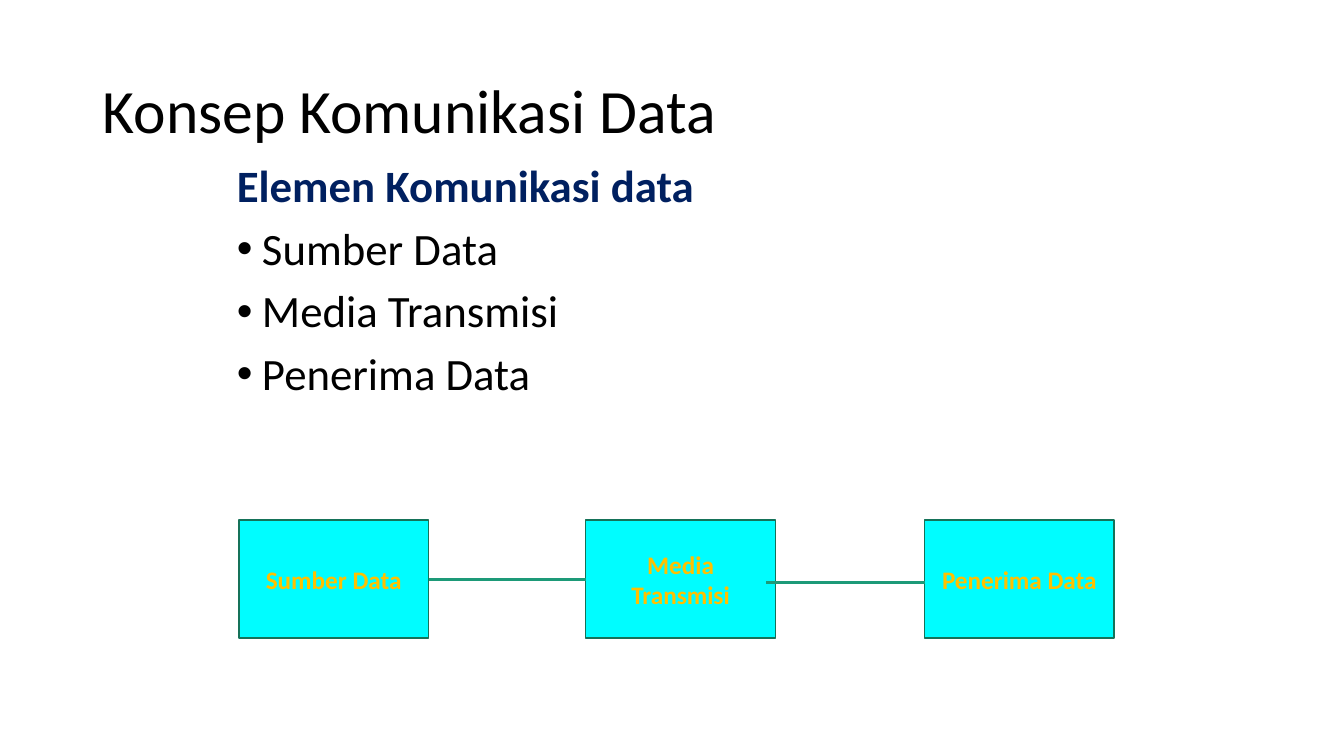
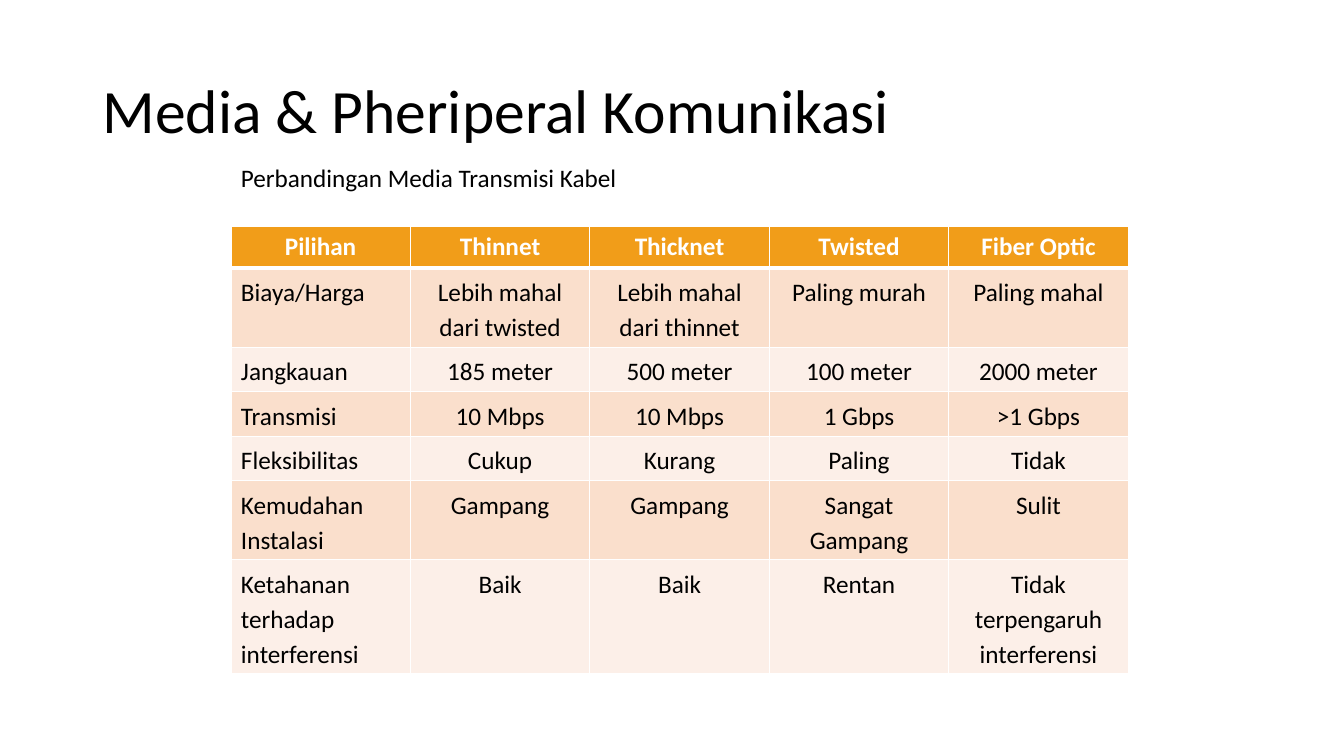
from pptx import Presentation
from pptx.dml.color import RGBColor
from pptx.enum.shapes import MSO_CONNECTOR, MSO_SHAPE
from pptx.enum.text import MSO_ANCHOR, PP_ALIGN
from pptx.oxml.ns import qn
from pptx.util import Emu, Pt
from lxml.etree import SubElement

FONT = "Calibri"
BLACK = RGBColor(0x00, 0x00, 0x00)
WHITE = RGBColor(0xFF, 0xFF, 0xFF)
NAVY = RGBColor(0x00, 0x20, 0x60)
CYAN = RGBColor(0x00, 0xFD, 0xFF)
GOLD = RGBColor(0xFF, 0xC0, 0x00)
EDGE = RGBColor(0x15, 0x72, 0x59)
GREEN = RGBColor(0x1D, 0x9A, 0x78)
ORANGE = RGBColor(0xF1, 0x9D, 0x19)
BANDS = RGBColor(0xFA, 0xDF, 0xCC), RGBColor(0xFC, 0xEF, 0xE8)

PARTS = [("Sumber Data", 237), ("Media Transmisi", 581), ("Penerima Data", 917)]
BOX_TOP, BOX_W, BOX_H = 516, 188, 117
ROWS = [
    ["Pilihan", "Thinnet", "Thicknet", "Twisted", "Fiber Optic"],
    ["Biaya/Harga", "Lebih mahal dari twisted", "Lebih mahal dari thinnet",
     "Paling murah", "Paling mahal"],
    ["Jangkauan", "185 meter", "500 meter", "100 meter", "2000 meter"],
    ["Transmisi", "10 Mbps", "10 Mbps", "1 Gbps", ">1 Gbps"],
    ["Fleksibilitas", "Cukup", "Kurang", "Paling", "Tidak"],
    ["Kemudahan Instalasi", "Gampang", "Gampang", "Sangat Gampang", "Sulit"],
    ["Ketahanan terhadap interferensi", "Baik", "Baik", "Rentan",
     "Tidak terpengaruh interferensi"],
]
ROW_H, COL_W = 41, 178


def px(n):
    """100 px to the inch."""
    return Emu(n * 9144)


def write(frame, text, size=18, color=BLACK, bold=False, align=PP_ALIGN.LEFT,
          pitch=1.0, before=0, bullet=False):
    """Add one paragraph, using the empty first one if it is free."""
    par = frame.paragraphs[0]
    if par.runs:
        par = frame.add_paragraph()
    par.alignment, par.line_spacing, par.space_before = align, pitch, Pt(before)
    if bullet:
        props = par._p.get_or_add_pPr()
        props.set("marL", str(px(25)))
        props.set("indent", str(-px(25)))
        SubElement(props, qn("a:buFont"), typeface="Arial")
        SubElement(props, qn("a:buChar"), char="•")
    run = par.add_run()
    run.text = text
    font = run.font
    font.name, font.size, font.bold = FONT, Pt(size), bold
    font.color.rgb = color


def frame(slide, x, y, w, h, anchor=MSO_ANCHOR.TOP):
    area = slide.shapes.add_textbox(px(x), px(y), px(w), px(h)).text_frame
    area.word_wrap = True
    area.vertical_anchor = anchor
    return area


def page(deck, title):
    """Blank slide with the shared title."""
    slide = deck.slides.add_slide(deck.slide_layouts[6])
    write(frame(slide, 92, 40, 1150, 145, MSO_ANCHOR.MIDDLE), title,
          size=44, pitch=0.9)
    return slide


def box(slide, label, x):
    shape = slide.shapes.add_shape(MSO_SHAPE.RECTANGLE, px(x), px(BOX_TOP),
                                   px(BOX_W), px(BOX_H))
    shape.shadow.inherit = False
    shape.fill.solid()
    shape.fill.fore_color.rgb = CYAN
    shape.line.color.rgb = EDGE
    shape.line.width = Pt(1)
    shape.text_frame.word_wrap = True
    shape.text_frame.vertical_anchor = MSO_ANCHOR.MIDDLE
    write(shape.text_frame, label, color=GOLD, bold=True, align=PP_ALIGN.CENTER)
    return shape


def link(slide, x1, x2, y):
    line = slide.shapes.add_connector(MSO_CONNECTOR.STRAIGHT,
                                      px(x1), px(y), px(x2), px(y))
    line.line.color.rgb = GREEN
    line.line.width = Pt(2.25)
    SubElement(line._element.spPr, qn("a:effectLst"))
    return line


def border(cell, **widths):
    """Draw white cell borders; widths in points by side."""
    props = cell._tc.get_or_add_tcPr()
    for side in "LRTB":
        edge = SubElement(props, qn("a:ln" + side), w=str(Pt(widths.get(side, 1))))
        fill = SubElement(edge, qn("a:solidFill"))
        SubElement(fill, qn("a:srgbClr"), val=str(WHITE))


def grid(slide, x, y, rows):
    cols = len(rows[0])
    table = slide.shapes.add_table(len(rows), cols, px(x), px(y),
                                   px(COL_W * cols), px(ROW_H * len(rows))).table
    for r, row in enumerate(rows):
        head = r == 0
        for c, text in enumerate(row):
            cell = table.cell(r, c)
            border(cell, T=3 if r == 1 else 1, B=3 if head else 1)
            cell.fill.solid()
            cell.fill.fore_color.rgb = ORANGE if head else BANDS[(r - 1) % 2]
            write(cell.text_frame, text, color=WHITE if head else BLACK,
                  bold=head, pitch=1.0 if head else 1.14,
                  align=PP_ALIGN.CENTER if head or c else PP_ALIGN.LEFT)


def concept(deck):
    slide = page(deck, "Konsep Komunikasi Data")
    # List of elements
    body = frame(slide, 225, 158, 892, 256)
    write(body, "Elemen Komunikasi data", size=32, color=NAVY, bold=True,
          pitch=0.9, before=10)
    for label, _ in PARTS:
        write(body, label, size=32, pitch=0.9, before=10, bullet=True)
    # Chain of boxes
    source, medium, _ = [box(slide, label, x) for label, x in PARTS]
    first = link(slide, 425, 581, 574)
    first.begin_connect(source, 3)
    first.end_connect(medium, 1)
    link(slide, 760, 917, 578)


def media(deck):
    slide = page(deck, "Media & Pheriperal Komunikasi")
    # Comparison table and its caption
    grid(slide, 229, 225, ROWS)
    write(frame(slide, 229, 156, 531, 40), "Perbandingan Media Transmisi Kabel")


def main():
    deck = Presentation()
    deck.slide_width, deck.slide_height = px(1333), px(750)
    concept(deck)
    media(deck)
    deck.save("out.pptx")


if __name__ == "__main__":
    main()
